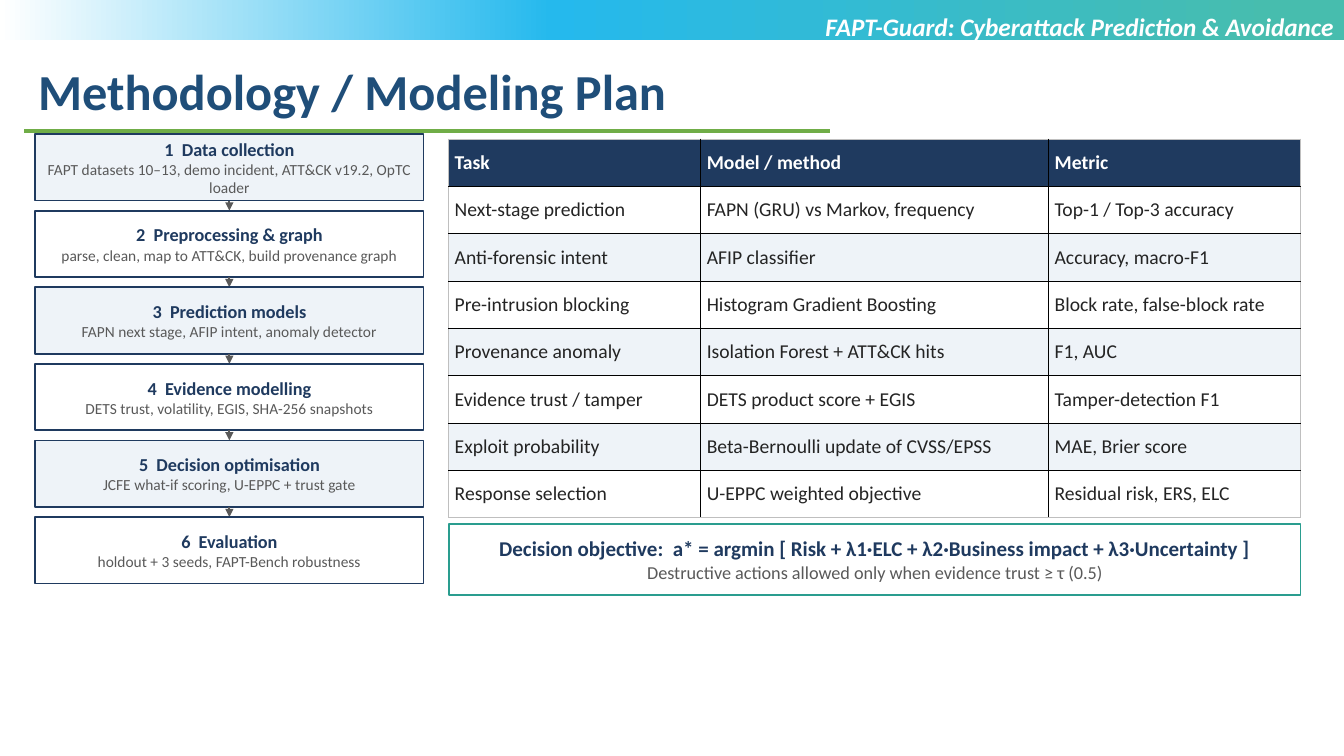
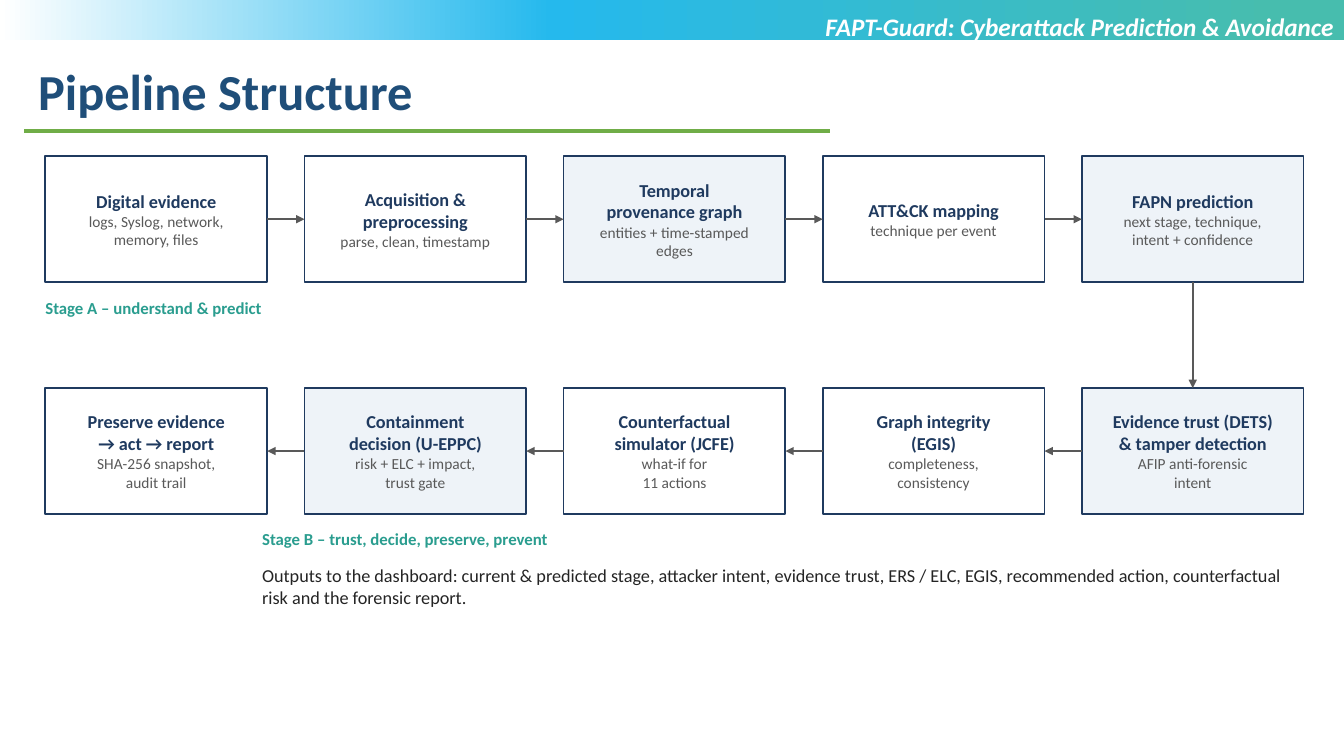
from copy import deepcopy

from lxml.etree import SubElement
from pptx import Presentation
from pptx.dml.color import RGBColor
from pptx.enum.shapes import MSO_CONNECTOR, MSO_SHAPE
from pptx.enum.text import MSO_ANCHOR, MSO_AUTO_SIZE, PP_ALIGN
from pptx.oxml.ns import qn
from pptx.util import Inches, Pt

COLORS = {
    "white": "FFFFFF", "pale": "EEF3F8", "navy": "1F3A5F", "title": "1F4E79",
    "gray": "595959", "ink": "242424", "teal": "2A9D8F", "rule": "70AD47",
    "band_blue": "25B9ED", "band_green": "47BDAE",
    "grid": "000000", "frame": "BFBFBF",
}
FONT = "Calibri"
BAND_STOPS = [(0, "white"), (0.41, "band_blue"), (0.95, "band_green")]

STEPS = [
    ("Data collection", "FAPT datasets 10–13, demo incident, ATT&CK v19.2, OpTC loader"),
    ("Preprocessing & graph", "parse, clean, map to ATT&CK, build provenance graph"),
    ("Prediction models", "FAPN next stage, AFIP intent, anomaly detector"),
    ("Evidence modelling", "DETS trust, volatility, EGIS, SHA-256 snapshots"),
    ("Decision optimisation", "JCFE what-if scoring, U-EPPC + trust gate"),
    ("Evaluation", "holdout + 3 seeds, FAPT-Bench robustness"),
]
TASKS = [
    ("Task", "Model / method", "Metric"),
    ("Next-stage prediction", "FAPN (GRU) vs Markov, frequency", "Top-1 / Top-3 accuracy"),
    ("Anti-forensic intent", "AFIP classifier", "Accuracy, macro-F1"),
    ("Pre-intrusion blocking", "Histogram Gradient Boosting", "Block rate, false-block rate"),
    ("Provenance anomaly", "Isolation Forest + ATT&CK hits", "F1, AUC"),
    ("Evidence trust / tamper", "DETS product score + EGIS", "Tamper-detection F1"),
    ("Exploit probability", "Beta-Bernoulli update of CVSS/EPSS", "MAE, Brier score"),
    ("Response selection", "U-EPPC weighted objective", "Residual risk, ERS, ELC"),
]
UNDERSTAND = [
    ("Digital evidence", "logs, Syslog, network,\nmemory, files", "white"),
    ("Acquisition &\npreprocessing", "parse, clean, timestamp", "white"),
    ("Temporal\nprovenance graph", "entities + time-stamped\nedges", "pale"),
    ("ATT&CK mapping", "technique per event", "white"),
    ("FAPN prediction", "next stage, technique,\nintent + confidence", "pale"),
]
RESPOND = [
    ("Preserve evidence\n→ act → report", "SHA-256 snapshot,\naudit trail", "white"),
    ("Containment\ndecision (U-EPPC)", "risk + ELC + impact,\ntrust gate", "pale"),
    ("Counterfactual\nsimulator (JCFE)", "what-if for\n11 actions", "white"),
    ("Graph integrity\n(EGIS)", "completeness,\nconsistency", "white"),
    ("Evidence trust (DETS)\n& tamper detection", "AFIP anti-forensic\nintent", "pale"),
]


def rgb(name):
    return RGBColor.from_string(COLORS[name])


def write(frame, text, size=13, color="ink", bold=False, italic=False, align=PP_ALIGN.LEFT):
    for line in text.split("\n"):
        paragraph = frame.paragraphs[0]
        if paragraph.runs:
            paragraph = frame.add_paragraph()
        paragraph.alignment = align
        run = paragraph.add_run()
        run.text = line
        font = run.font
        font.name, font.size = FONT, Pt(size)
        font.bold, font.italic = bold, italic
        font.color.rgb = rgb(color)


def set_margins(target, horizontal, vertical):
    target.margin_left = target.margin_right = Inches(horizontal)
    target.margin_top = target.margin_bottom = Inches(vertical)


def set_border(cell, side, color, width):
    line = SubElement(cell._tc.get_or_add_tcPr(), qn(f"a:ln{side}"), w=str(Pt(width)))
    fill = SubElement(line, qn("a:solidFill"))
    SubElement(fill, qn("a:srgbClr"), val=COLORS[color])


class Deck:
    """Shared style and element builders acting on the current slide."""

    def __init__(self):
        self.presentation = Presentation()
        self.presentation.slide_width = Inches(13.33)
        self.presentation.slide_height = Inches(7.5)
        self.slide = None

    def start_slide(self, title):
        self.slide = self.presentation.slides.add_slide(self.presentation.slide_layouts[6])
        self.band()
        self.text(0.28, 0.55, 11.62, 0.71, title, size=36, color="title", bold=True)
        self.line((0.24, 1.3), (8.23, 1.3), "rule", 2.25)
        self.text(6.66, 0.06, 6.67, 0.71, "FAPT-Guard: Cyberattack Prediction & Avoidance",
                  size=18, color="white", bold=True, italic=True, align=PP_ALIGN.RIGHT)

    def rectangle(self, left, top, width, height):
        shape = self.slide.shapes.add_shape(
            MSO_SHAPE.RECTANGLE, Inches(left), Inches(top), Inches(width), Inches(height))
        shape.shadow.inherit = False
        return shape

    def band(self):
        shape = self.rectangle(0, 0, 13.33, 0.4)
        shape.line.fill.background()
        shape.fill.gradient()
        shape.fill.gradient_angle = 0
        stop_list = shape._element.spPr.find(".//" + qn("a:gsLst"))
        stop_list.append(deepcopy(stop_list[-1]))
        for stop, (position, color) in zip(shape.fill.gradient_stops, BAND_STOPS):
            stop.position = position
            stop.color.rgb = rgb(color)

    def text(self, left, top, width, height, text, margins=(0.1, 0.05), **style):
        box = self.slide.shapes.add_textbox(
            Inches(left), Inches(top), Inches(width), Inches(height))
        frame = box.text_frame
        frame.word_wrap = True
        frame.auto_size = MSO_AUTO_SIZE.SHAPE_TO_FIT_TEXT
        set_margins(frame, *margins)
        write(frame, text, **style)

    def card(self, left, top, width, height, heading, detail, fill="white", outline="navy",
             sizes=(13, 11), margins=(0.06, 0.03)):
        shape = self.rectangle(left, top, width, height)
        shape.fill.solid()
        shape.fill.fore_color.rgb = rgb(fill)
        shape.line.color.rgb = rgb(outline)
        shape.line.width = Pt(1.25)
        frame = shape.text_frame
        frame.word_wrap = True
        frame.vertical_anchor = MSO_ANCHOR.MIDDLE
        set_margins(frame, *margins)
        write(frame, heading, size=sizes[0], color="navy", bold=True, align=PP_ALIGN.CENTER)
        write(frame, detail, size=sizes[1], color="gray", align=PP_ALIGN.CENTER)

    def line(self, start, end, color, width):
        connector = self.slide.shapes.add_connector(
            MSO_CONNECTOR.STRAIGHT, *(Inches(value) for value in (*start, *end)))
        connector.line.color.rgb = rgb(color)
        connector.line.width = Pt(width)
        SubElement(connector._element.spPr, qn("a:effectLst"))
        return connector

    def arrow(self, start, end):
        connector = self.line(start, end, "gray", 1.5)
        SubElement(connector.line._get_or_add_ln(), qn("a:tailEnd"), type="triangle")

    def table(self, left, top, widths, row_height, rows):
        table = self.slide.shapes.add_table(
            len(rows), len(widths), Inches(left), Inches(top),
            Inches(sum(widths)), Inches(row_height * len(rows))).table
        for column, width in zip(table.columns, widths):
            column.width = Inches(width)
        last_row, last_column = len(rows) - 1, len(widths) - 1
        for row, values in enumerate(rows):
            table.rows[row].height = Inches(row_height)
            for column, value in enumerate(values):
                cell = table.cell(row, column)
                cell.vertical_anchor = MSO_ANCHOR.MIDDLE
                set_margins(cell, 0.06, 0.03)
                outer = {"L": column == 0, "R": column == last_column,
                         "T": row == 0, "B": row == last_row}
                for side, is_outer in outer.items():
                    set_border(cell, side, *(("frame", 0.75) if is_outer else ("grid", 1)))
                cell.fill.solid()
                header = row == 0
                fill = "navy" if header else "white" if row % 2 else "pale"
                cell.fill.fore_color.rgb = rgb(fill)
                write(cell.text_frame, value, size=14,
                      color="white" if header else "ink", bold=header)


def build_methodology(deck):
    deck.start_slide("Methodology / Modeling Plan")
    left, width, height, pitch = 0.35, 3.85, 0.66, 0.76
    center = left + width / 2
    for index, (heading, detail) in enumerate(STEPS):
        top = 1.33 + index * pitch
        deck.card(left, top, width, height, f"{index + 1}  {heading}", detail,
                  fill="white" if index % 2 else "pale")
        if index < len(STEPS) - 1:
            deck.arrow((center, top + height), (center, top + pitch))
    deck.table(4.45, 1.38, (2.5, 3.45, 2.5), 0.47, TASKS)
    deck.card(4.45, 5.2, 8.45, 0.7,
              "Decision objective:  a* = argmin [ Risk + λ1·ELC + λ2·Business impact + λ3·Uncertainty ]",
              "Destructive actions allowed only when evidence trust ≥ τ (0.5)",
              outline="teal", sizes=(15, 13))


def build_pipeline(deck):
    deck.start_slide("Pipeline Structure")
    left, width, height, pitch = 0.45, 2.2, 1.25, 2.57
    upper, lower = 1.55, 3.85
    for top, stages in ((upper, UNDERSTAND), (lower, RESPOND)):
        middle = top + height / 2
        for index, (heading, detail, fill) in enumerate(stages):
            x = left + index * pitch
            deck.card(x, top, width, height, heading, detail, fill=fill, margins=(0.05, 0.05))
            if index:
                ends = [(x - pitch + width, middle), (x, middle)]
                deck.arrow(*(ends if top == upper else reversed(ends)))
    turn = left + 4 * pitch + width / 2
    deck.arrow((turn, upper + height), (turn, lower))
    label = {"size": 12, "color": "teal", "bold": True, "margins": (0, 0)}
    deck.text(0.45, 2.95, 4.5, 0.3, "Stage A – understand & predict", **label)
    deck.text(2.6, 5.25, 7, 0.3, "Stage B – trust, decide, preserve, prevent", **label)
    deck.text(2.6, 5.6, 10.3, 0.5,
              "Outputs to the dashboard: current & predicted stage, attacker intent, evidence trust, "
              "ERS / ELC, EGIS, recommended action, counterfactual risk and the forensic report.",
              margins=(0, 0))


def main():
    deck = Deck()
    build_methodology(deck)
    build_pipeline(deck)
    deck.presentation.save("out.pptx")


if __name__ == "__main__":
    main()
